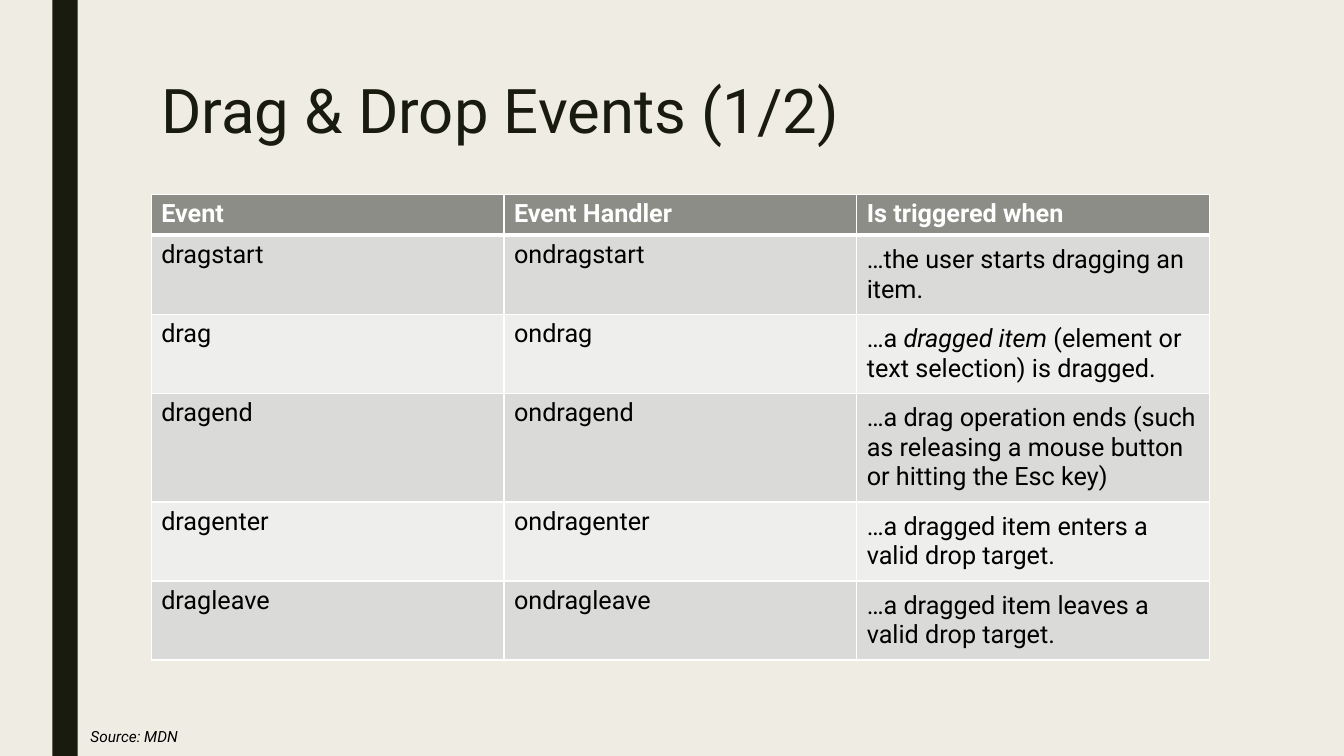
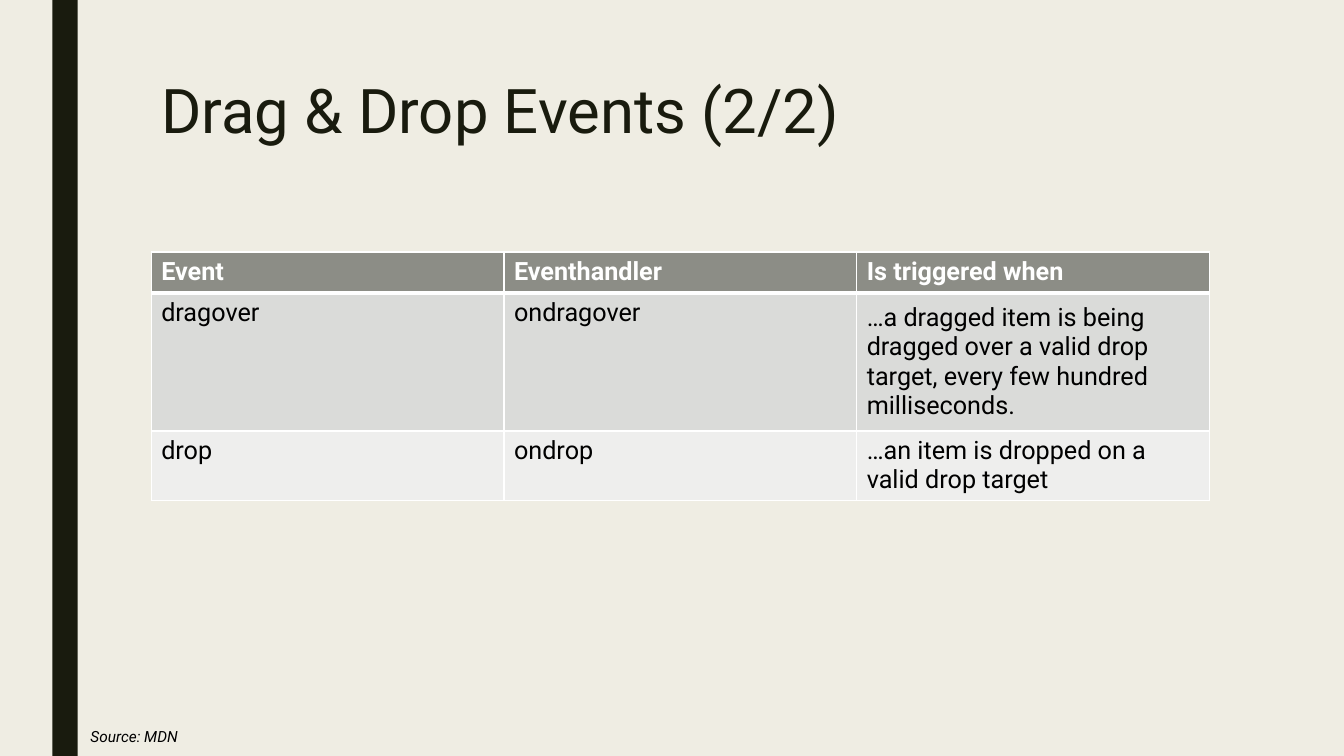
from dataclasses import dataclass

from lxml import etree
from pptx import Presentation
from pptx.dml.color import RGBColor
from pptx.enum.shapes import MSO_SHAPE
from pptx.enum.text import MSO_ANCHOR, MSO_AUTO_SIZE
from pptx.oxml.ns import qn
from pptx.util import Cm, Pt

RECT = MSO_SHAPE.RECTANGLE
TOP, MIDDLE = MSO_ANCHOR.TOP, MSO_ANCHOR.MIDDLE
NO_FIT, FIT_SHAPE = MSO_AUTO_SIZE.NONE, MSO_AUTO_SIZE.SHAPE_TO_FIT_TEXT
TITLE_ONLY = 5


@dataclass(frozen=True)
class Theme:
    """Colours, font and type sizes of the deck."""
    paper: str = "EFEDE3"
    ink: str = "191B0E"
    text: str = "000000"
    white: str = "FFFFFF"
    header: str = "8C8D86"
    bands: tuple = ("DADBD9", "EEEEED")
    font: str = "Roboto"
    title_size: int = 44
    cell_size: int = 18
    source_size: int = 11
    rule: int = 1
    header_rule: int = 3


THEME = Theme()
BAND_BOX = (Cm(1.32), Cm(0), Cm(0.64), Cm(19.05))
TITLE_BOX = (Cm(3.81), Cm(1.91), Cm(26.67), Cm(4.11))
SOURCE_BOX = (Cm(2.03), Cm(18.19), Cm(2.72), Cm(0.74))
TABLE_LEFT, TABLE_WIDTH, ROW_HEIGHT = Cm(3.81), Cm(26.67), Cm(1.03)
CELL_PAD = Cm(0.25)

SLIDES = [
    {
        "title": "Drag & Drop Events (1/2)",
        "top": Cm(4.9),
        "padded_rows": 5,
        "rows": [
            ("Event", "Event Handler", "Is triggered when"),
            ("dragstart", "ondragstart", "…the user starts dragging an item."),
            ("drag", "ondrag",
             "…a *dragged item* (element or text selection) is dragged."),
            ("dragend", "ondragend",
             "…a drag operation ends (such as releasing a mouse button "
             "or hitting the Esc key)"),
            ("dragenter", "ondragenter",
             "…a dragged item enters a valid drop target."),
            ("dragleave", "ondragleave",
             "…a dragged item leaves a valid drop target."),
        ],
    },
    {
        "title": "Drag & Drop Events (2/2)",
        "top": Cm(6.35),
        "padded_rows": 1,
        "rows": [
            ("Event", "Eventhandler", "Is triggered when"),
            ("dragover", "ondragover",
             "…a dragged item is being dragged over a valid drop target, "
             "every few hundred milliseconds."),
            ("drop", "ondrop", "…an item is dropped on a valid drop target"),
        ],
    },
]


def set_attrs(obj, values):
    """Set each named attribute on obj."""
    for name, value in values.items():
        setattr(obj, name, value)


def write(p, text, size, color, **font):
    """Write text into a paragraph, with *marked* parts in italics."""
    for i, part in enumerate(text.split("*")):
        r = p.add_run()
        r.text = part
        set_attrs(r.font, {"name": THEME.font, "size": Pt(size),
                           "italic": i % 2 == 1, **font})
        r.font.color.rgb = RGBColor.from_string(color)


def place(sp, box):
    """Move and size a shape to a box."""
    set_attrs(sp, dict(zip(("left", "top", "width", "height"), box)))


def set_borders(cell, widths):
    """Draw white borders with widths in points by side."""
    tc_pr = cell._tc.get_or_add_tcPr()
    for side in "LRTB":
        ln = etree.SubElement(tc_pr, qn(f"a:ln{side}"),
                              w=str(Pt(widths.get(side, THEME.rule))))
        fill = etree.SubElement(ln, qn("a:solidFill"))
        etree.SubElement(fill, qn("a:srgbClr"), val=THEME.white)


def add_band(slide, box):
    """Draw the dark vertical band."""
    sp = slide.shapes.add_shape(RECT, *box)
    sp.shadow.inherit = False
    sp.fill.solid()
    sp.fill.fore_color.rgb = RGBColor.from_string(THEME.ink)
    sp.line.fill.background()


def add_title(slide, box, text):
    """Place and fill the title placeholder."""
    sp = slide.shapes.title
    place(sp, box)
    tf = sp.text_frame
    set_attrs(tf, {"vertical_anchor": TOP, "word_wrap": True,
                   "auto_size": NO_FIT})
    p = tf.paragraphs[0]
    set_attrs(p, {"alignment": 1, "line_spacing": 0.89})
    write(p, text, THEME.title_size, THEME.ink)


def add_event_table(slide, box, rows, padded_rows):
    """Add the event table, with padded descriptions in the first body rows."""
    table = slide.shapes.add_table(len(rows), len(rows[0]), *box).table
    table.horz_banding = False
    for i, row in enumerate(rows):
        is_header = i == 0
        fill = THEME.header if is_header else THEME.bands[(i - 1) % 2]
        color = THEME.white if is_header else THEME.text
        heavy = {0: "B", 1: "T"}.get(i)
        for j, text in enumerate(row):
            cell = table.cell(i, j)
            if j == len(row) - 1 and 0 < i <= padded_rows:
                set_attrs(cell, {"vertical_anchor": MIDDLE,
                                 "margin_top": CELL_PAD,
                                 "margin_bottom": CELL_PAD})
            set_borders(cell, {heavy: THEME.header_rule})
            cell.fill.solid()
            cell.fill.fore_color.rgb = RGBColor.from_string(fill)
            write(cell.text_frame.paragraphs[0], text, THEME.cell_size, color,
                  bold=is_header)


def add_source(slide, box):
    """Add the source line at the foot."""
    tf = slide.shapes.add_textbox(*box).text_frame
    set_attrs(tf, {"word_wrap": False, "auto_size": FIT_SHAPE})
    write(tf.paragraphs[0], "Source: MDN", THEME.source_size, THEME.text,
          italic=True)


def add_event_slide(prs, title, top, rows, padded_rows):
    """Build one slide with a title and an event table."""
    slide = prs.slides.add_slide(prs.slide_layouts[TITLE_ONLY])
    add_band(slide, BAND_BOX)
    add_title(slide, TITLE_BOX, title)
    box = (TABLE_LEFT, top, TABLE_WIDTH, ROW_HEIGHT * len(rows))
    add_event_table(slide, box, rows, padded_rows)
    add_source(slide, SOURCE_BOX)


def main():
    """Build and save the deck."""
    prs = Presentation()
    set_attrs(prs, {"slide_width": Cm(33.87), "slide_height": Cm(19.05)})
    background = prs.slide_master.background.fill
    background.solid()
    background.fore_color.rgb = RGBColor.from_string(THEME.paper)
    for content in SLIDES:
        add_event_slide(prs, **content)
    prs.save("out.pptx")


if __name__ == "__main__":
    main()
